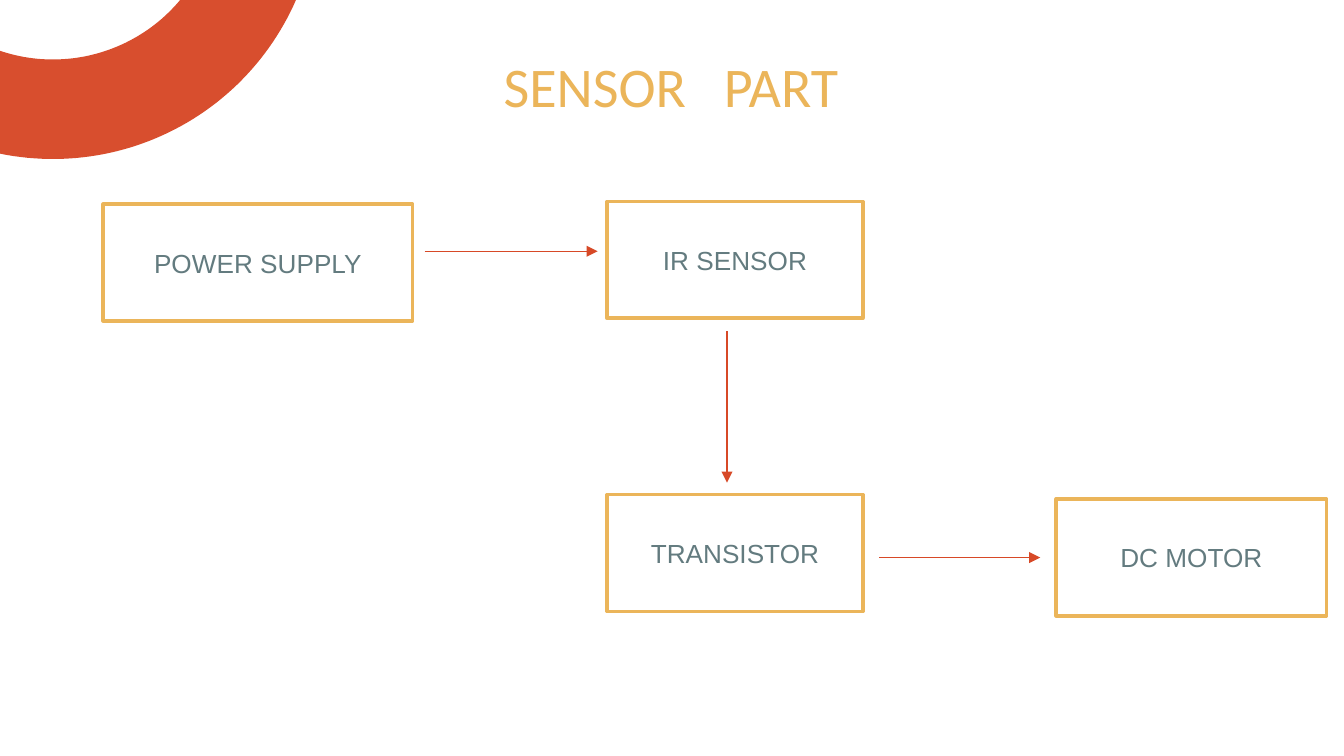
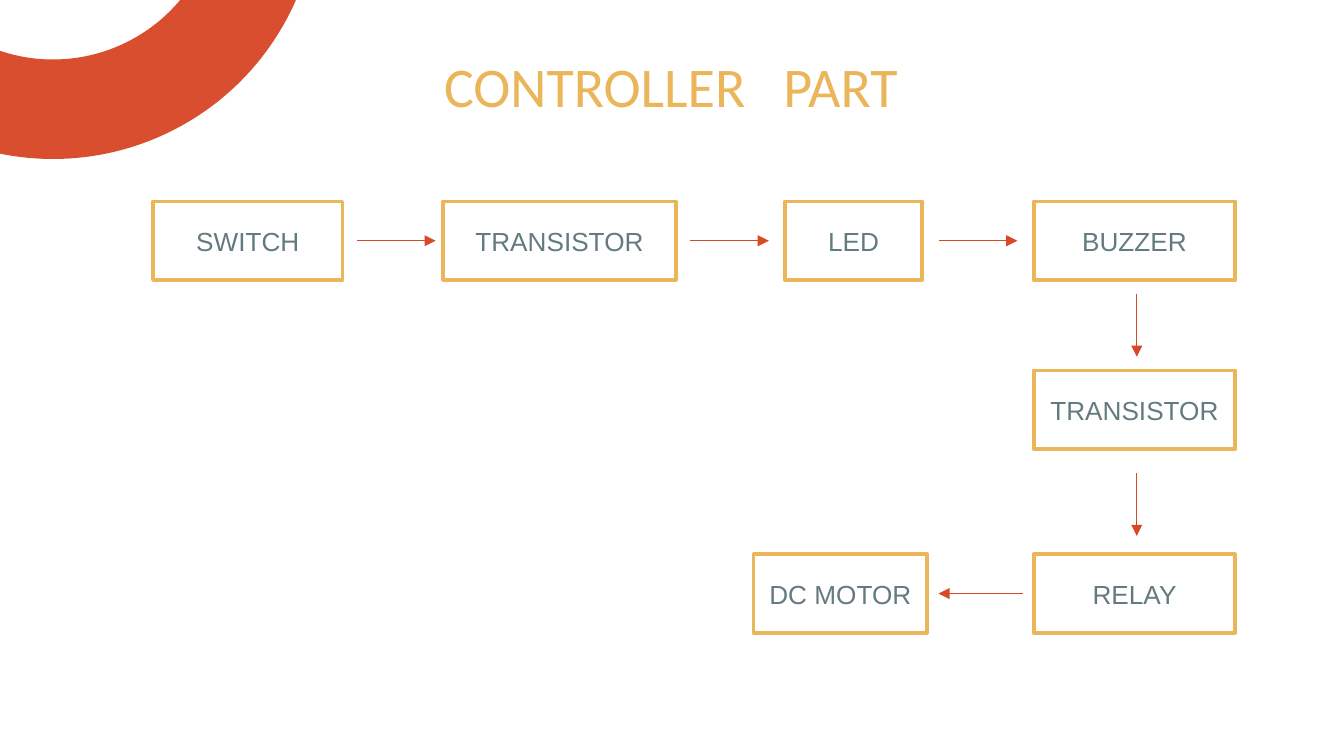
import math
from dataclasses import dataclass

from lxml import etree
from pptx import Presentation
from pptx.dml.color import RGBColor
from pptx.enum import shapes, text
from pptx.oxml import ns
from pptx.util import Pt

WHITE = "FFFFFF"
GOLD = "EBB55A"
RING_RED = "D84E2E"
ARROW_RED = "D74927"
SLATE = "637B7F"

RING_CENTRE = (28.4, -56.9)
RING_RADII = (142.1, 88.8)
RING_START, RING_END = 23.5, 113.5


@dataclass(frozen=True)
class Block:
    label: str
    left: float
    top: float
    width: float
    height: float


@dataclass(frozen=True)
class Arrow:
    x1: float
    y1: float
    x2: float
    y2: float


@dataclass(frozen=True)
class Diagram:
    title: str
    blocks: list[Block]
    arrows: list[Arrow]


def colour(hex_value: str) -> RGBColor:
    return RGBColor.from_string(hex_value)


def write(frame, words: str, font: str, size: float, hex_value: str) -> None:
    paragraph = frame.paragraphs[0]
    paragraph.alignment = text.PP_ALIGN.CENTER
    run = paragraph.add_run()
    run.text = words
    run.font.name = font
    run.font.size = Pt(size)
    run.font.color.rgb = colour(hex_value)


def draw_ring(slide) -> None:
    """Draw the quarter ring in the top left corner."""
    steps = 60
    angles = [math.radians(RING_START + (RING_END - RING_START) * i / steps)
              for i in range(steps + 1)]
    outer, inner = RING_RADII
    rim = [(outer, a) for a in angles] + [(inner, a) for a in reversed(angles)]
    points = [(Pt(RING_CENTRE[0] + r * math.cos(a)),
               Pt(RING_CENTRE[1] + r * math.sin(a))) for r, a in rim]
    builder = slide.shapes.build_freeform(*points[0])
    builder.add_line_segments(points[1:], close=True)
    ring = builder.convert_to_shape()
    ring.shadow.inherit = False
    ring.fill.solid()
    ring.fill.fore_color.rgb = colour(RING_RED)
    ring.line.fill.background()


def draw_title(slide, title: str) -> None:
    heading = slide.shapes.add_textbox(Pt(172), Pt(20.2), Pt(375), Pt(45.4))
    frame = heading.text_frame
    frame.word_wrap = True
    frame.margin_left = frame.margin_right = Pt(7.2)
    frame.margin_top = frame.margin_bottom = Pt(7.2)
    write(frame, title, "Calibri", 30, GOLD)


def draw_block(slide, block: Block) -> None:
    box = slide.shapes.add_shape(
        shapes.MSO_SHAPE.RECTANGLE, Pt(block.left), Pt(block.top),
        Pt(block.width), Pt(block.height))
    box.shadow.inherit = False
    box.fill.solid()
    box.fill.fore_color.rgb = colour(WHITE)
    box.line.color.rgb = colour(GOLD)
    box.line.width = Pt(2)
    box.text_frame.word_wrap = True
    box.text_frame.vertical_anchor = text.MSO_ANCHOR.MIDDLE
    write(box.text_frame, block.label, "Arial", 14, SLATE)


def draw_arrow(slide, arrow: Arrow) -> None:
    link = slide.shapes.add_connector(
        shapes.MSO_CONNECTOR.STRAIGHT, Pt(arrow.x1), Pt(arrow.y1),
        Pt(arrow.x2), Pt(arrow.y2))
    link.line.color.rgb = colour(ARROW_RED)
    link.line.width = Pt(0.75)
    etree.SubElement(link.line._get_or_add_ln(), ns.qn("a:tailEnd"), type="triangle")
    etree.SubElement(link._element.spPr, ns.qn("a:effectLst"))


def sensor_part() -> Diagram:
    height = 62.6
    middle, middle_width = 325.4, 136.8
    return Diagram(
        "SENSOR   PART",
        [
            Block("POWER SUPPLY", 55.4, 109.4, 165.6, height),
            Block("IR SENSOR", middle, 108, middle_width, height),
            Block("TRANSISTOR", middle, 265, middle_width, height),
            Block("DC MOTOR", 565.9, 267.3, 144.7, height),
        ],
        [
            Arrow(227.5, 134.6, 320.2, 134.6),
            Arrow(389.5, 177.6, 389.5, 258.6),
            Arrow(471, 298.7, 557.3, 298.7),
        ],
    )


def controller_part() -> Diagram:
    height = 42
    top, middle, bottom = 108, 198.5, 297
    right, right_width = 553.8, 108
    row_axis, column_axis = 129, 609
    return Diagram(
        "CONTROLLER   PART",
        [
            Block("SWITCH", 82, top, 101.5, height),
            Block("TRANSISTOR", 237.5, top, 124.6, height),
            Block("LED", 420.5, top, 73.5, height),
            Block("BUZZER", right, top, right_width, height),
            Block("TRANSISTOR", right, middle, right_width, height),
            Block("RELAY", right, bottom, right_width, height),
            Block("DC MOTOR", 403.7, bottom, 93, height),
        ],
        [
            *(Arrow(x, row_axis, x + 42, row_axis) for x in (191.4, 369.9, 503)),
            *(Arrow(column_axis, y, column_axis, y + 33.6) for y in (157.5, 253.5)),
            Arrow(547.8, 318, 502.8, 318),
        ],
    )


def main() -> None:
    deck = Presentation()
    deck.slide_width, deck.slide_height = Pt(720), Pt(405)
    for diagram in (sensor_part(), controller_part()):
        slide = deck.slides.add_slide(deck.slide_layouts[6])
        slide.background.fill.solid()
        slide.background.fill.fore_color.rgb = colour(WHITE)
        draw_ring(slide)
        draw_title(slide, diagram.title)
        for block in diagram.blocks:
            draw_block(slide, block)
        for arrow in diagram.arrows:
            draw_arrow(slide, arrow)
    deck.save("out.pptx")


if __name__ == "__main__":
    main()
